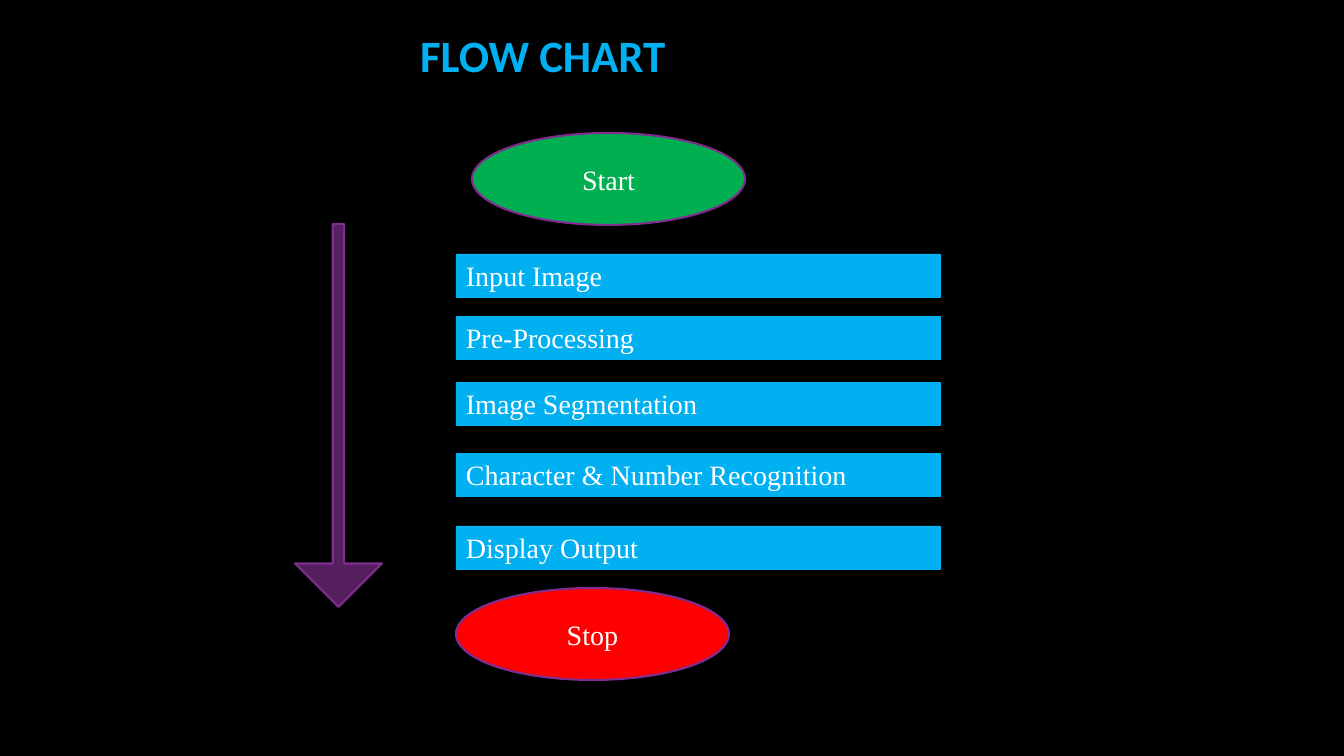
import pptx
import pptx.dml.color
import pptx.enum.shapes
import pptx.enum.text
import pptx.util

EMU_PER_PX = 914400 / 100.8
SHAPES = pptx.enum.shapes.MSO_SHAPE
ALIGN = pptx.enum.text.PP_ALIGN
ANCHOR = pptx.enum.text.MSO_ANCHOR
GROW = pptx.enum.text.MSO_AUTO_SIZE.SHAPE_TO_FIT_TEXT

PURPLE = "7F2E8F"
DARK_PURPLE = "561F60"
BLUE = "00B0F0"
GREEN = "00B050"
RED = "FF0000"
WHITE = "FFFFFF"
BLACK = "000000"

STEP_LEFT, STEP_WIDTH, STEP_HEIGHT = 456, 485, 44
STEPS = [
    ("Input Image", 254),
    ("Pre-Processing", 316),
    ("Image Segmentation", 382),
    ("Character & Number Recognition", 453),
    ("Display Output", 526),
]


def px(length):
    return pptx.util.Emu(round(length * EMU_PER_PX))


def color(value):
    return pptx.dml.color.RGBColor.from_string(value)


def write_text(shape, text, font, size, text_color, align, anchor, bold=False):
    frame = shape.text_frame
    frame.word_wrap = True
    frame.vertical_anchor = anchor
    para = frame.paragraphs[0]
    para.alignment = align
    span = para.add_run()
    span.text = text
    span.font.name = font
    span.font.size = pptx.util.Pt(size)
    span.font.bold = bold
    span.font.color.rgb = color(text_color)


def add_title(page, text):
    title = page.shapes.title
    title.left, title.top, title.width, title.height = map(px, (410, 23, 396, 64))
    write_text(title, text, "Calibri", 32, BLUE, ALIGN.LEFT, ANCHOR.TOP, True)
    title.text_frame.auto_size = GROW


def add_box(page, kind, left, top, width, height, fill, line=None):
    box = page.shapes.add_shape(kind, px(left), px(top), px(width), px(height))
    box.shadow.inherit = False
    box.fill.solid()
    box.fill.fore_color.rgb = color(fill)
    if line:
        box.line.color.rgb = color(line)
        box.line.width = pptx.util.Pt(1.5)
    else:
        box.line.fill.background()
    return box


def add_terminal(page, text, left, top, fill):
    oval = add_box(page, SHAPES.OVAL, left, top, 273, 92, fill, PURPLE)
    write_text(oval, text, "Times New Roman", 20, WHITE, ALIGN.CENTER, ANCHOR.MIDDLE)


def add_step(page, text, top):
    step = add_box(page, SHAPES.RECTANGLE, STEP_LEFT, top, STEP_WIDTH, STEP_HEIGHT, BLUE)
    write_text(step, text, "Times New Roman", 20, WHITE, ALIGN.LEFT, ANCHOR.TOP)
    step.text_frame.auto_size = GROW


def add_down_arrow(page):
    arrow = add_box(page, SHAPES.DOWN_ARROW, 295, 224, 87, 383, DARK_PURPLE, PURPLE)
    arrow.adjustments[0] = 0.13
    arrow.adjustments[1] = 0.5


def main():
    deck = pptx.Presentation()
    deck.slide_width, deck.slide_height = px(1344), px(756)
    page = deck.slides.add_slide(deck.slide_layouts[5])
    page.background.fill.solid()
    page.background.fill.fore_color.rgb = color(BLACK)

    add_title(page, "FLOW CHART")
    add_terminal(page, "Start", 472, 133, GREEN)
    for text, top in STEPS:
        add_step(page, text, top)
    add_terminal(page, "Stop", STEP_LEFT, 588, RED)
    add_down_arrow(page)
    deck.save("out.pptx")


if __name__ == "__main__":
    main()
